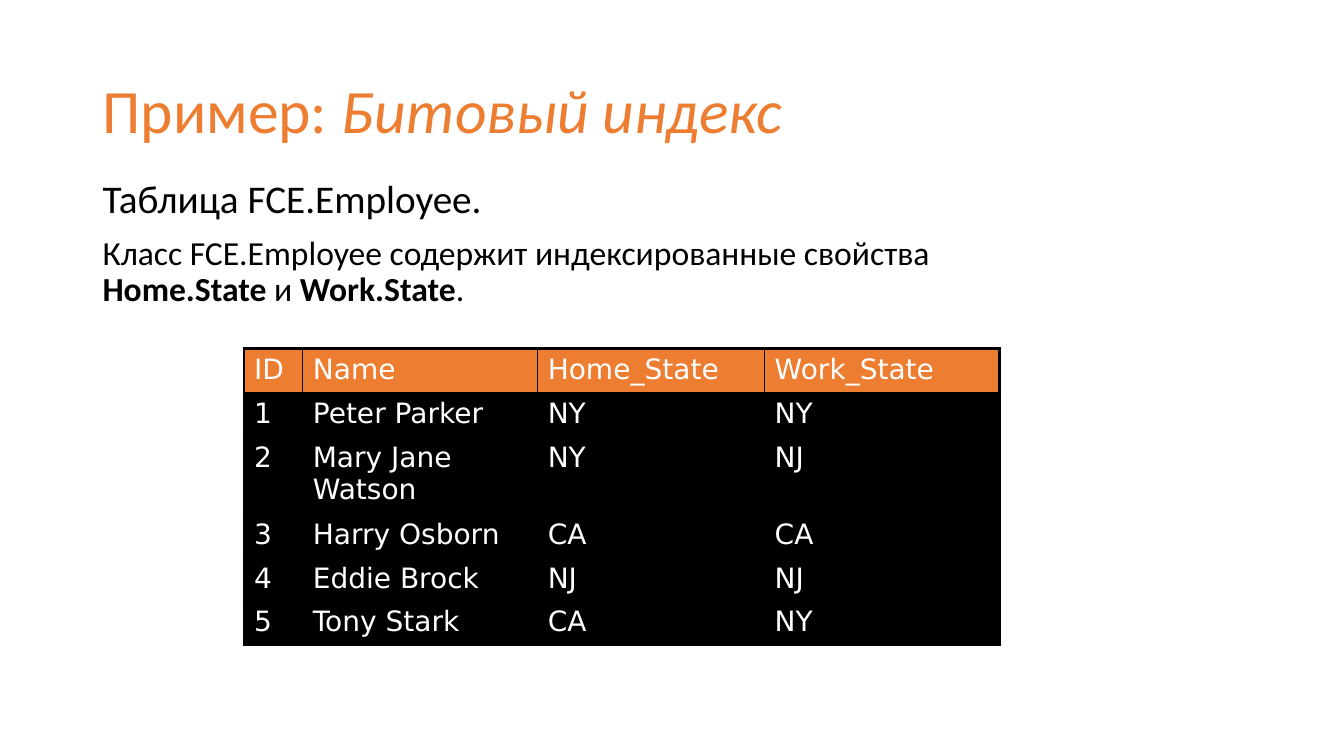
"""Build a slide on bitmap indexes with an employee table."""
from lxml import etree
from pptx import Presentation
from pptx import util as u
from pptx.dml.color import RGBColor
from pptx.enum import text
from pptx.oxml.ns import qn

TITLE = [("Пример: ", False), ("Битовый индекс", True)]
BODY = [
    (28, [("Таблица FCE.Employee.", False)]),
    (24, [("Класс FCE.Employee содержит индексированные свойства ", False),
          ("Home.State ", True), ("и ", False), ("Work.State", True), (".", False)]),
]
EMPLOYEES = [
    ("ID", "Name", "Home_State", "Work_State"),
    ("1", "Peter Parker", "NY", "NY"),
    ("2", "Mary Jane Watson", "NY", "NJ"),
    ("3", "Harry Osborn", "CA", "CA"),
    ("4", "Eddie Brock", "NJ", "NJ"),
    ("5", "Tony Stark", "CA", "NY"),
]
COL_WIDTHS = [1.48, 5.92, 5.72, 5.92]
ROW_HEIGHTS = [1.1, 1.1, 1.95, 1.1, 1.1, 1.1]
COLORS = {"accent": "ED7D31", "dark": "000000", "light": "FFFFFF"}
OUTER, INNER = 2.21, 0.96


def rgb(name):
    return RGBColor.from_string(COLORS[name])


def set_font(p, name, size, color):
    p.font.name, p.font.size = name, u.Pt(size)
    p.font.color.rgb = rgb(color)


def place(sp, left, top, width, height, anchor):
    sp.left, sp.top, sp.width, sp.height = map(u.Cm, (left, top, width, height))
    tf = sp.text_frame
    tf.auto_size = text.MSO_AUTO_SIZE.NONE
    tf.vertical_anchor = anchor
    return tf


def add_runs(p, runs, style):
    p.alignment, p.line_spacing = text.PP_ALIGN.LEFT, 0.9
    for words, styled in runs:
        r = p.add_run()
        r.text = words
        if styled:
            setattr(r.font, style, True)


def set_borders(cell, edges):
    tcPr = cell._tc.get_or_add_tcPr()
    for i, (side, outer) in enumerate(edges.items()):
        ln = etree.Element(qn("a:ln" + side), w=str(u.Pt(OUTER if outer else INNER)))
        fill = etree.SubElement(ln, qn("a:solidFill"))
        etree.SubElement(fill, qn("a:srgbClr"), val=COLORS["dark"])
        tcPr.insert(i, ln)


def add_employees(s):
    rows, cols = len(EMPLOYEES), len(COL_WIDTHS)
    tb = s.shapes.add_table(rows, cols, u.Cm(6.15), u.Cm(8.79),
                            u.Cm(sum(COL_WIDTHS)), u.Cm(sum(ROW_HEIGHTS))).table
    for col, width in zip(tb.columns, COL_WIDTHS):
        col.width = u.Cm(width)
    for row, height in zip(tb.rows, ROW_HEIGHTS):
        row.height = u.Cm(height)
    for i, record in enumerate(EMPLOYEES):
        for j, value in enumerate(record):
            cell = tb.cell(i, j)
            cell.text = value
            set_font(cell.text_frame.paragraphs[0], "DejaVu Sans", 20, "light")
            cell.text_frame.paragraphs[0].font.bold = False
            cell.fill.solid()
            cell.fill.fore_color.rgb = rgb("dark" if i else "accent")
            set_borders(cell, {"L": j == 0, "R": j == cols - 1,
                               "T": i == 0, "B": i == rows - 1})


def main():
    prs = Presentation()
    prs.slide_width, prs.slide_height = u.Cm(33.87), u.Cm(19.05)
    s = prs.slides.add_slide(prs.slide_layouts[1])

    tf = place(s.shapes.title, 2.33, 1.01, 29.21, 3.68, text.MSO_ANCHOR.MIDDLE)
    set_font(tf.paragraphs[0], "Calibri", 44, "accent")
    add_runs(tf.paragraphs[0], TITLE, "italic")

    tf = place(s.placeholders[1], 2.33, 4.4, 25.37, 12.09, text.MSO_ANCHOR.TOP)
    for i, (size, runs) in enumerate(BODY):
        p = tf.add_paragraph() if i else tf.paragraphs[0]
        add_runs(p, runs, "bold")
        p.space_before = u.Pt(10)
        set_font(p, "Calibri", size, "dark")
        pPr = p._p.get_or_add_pPr()
        pPr.set("marL", "0")
        pPr.set("indent", "0")
        pPr.insert_element_before(etree.Element(qn("a:buNone")), "a:tabLst", "a:defRPr", "a:extLst")

    add_employees(s)
    prs.save("out.pptx")


if __name__ == "__main__":
    main()
